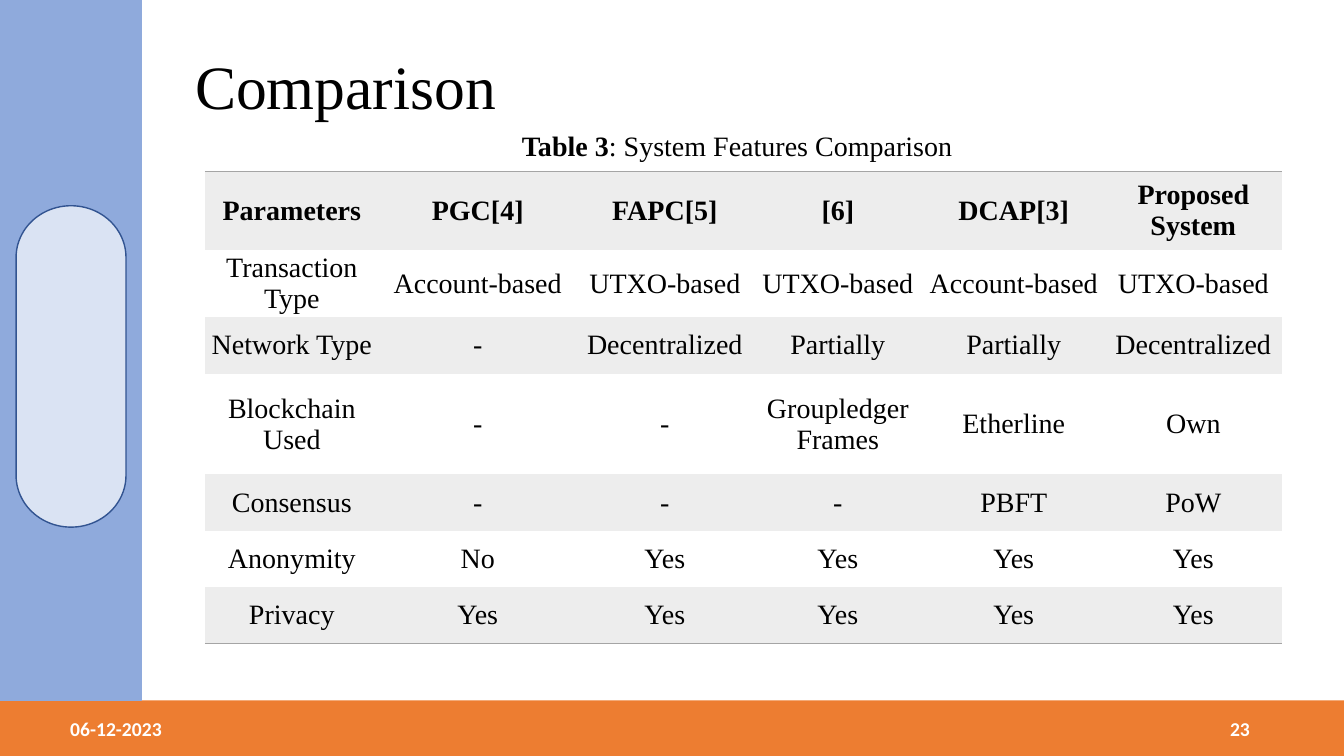
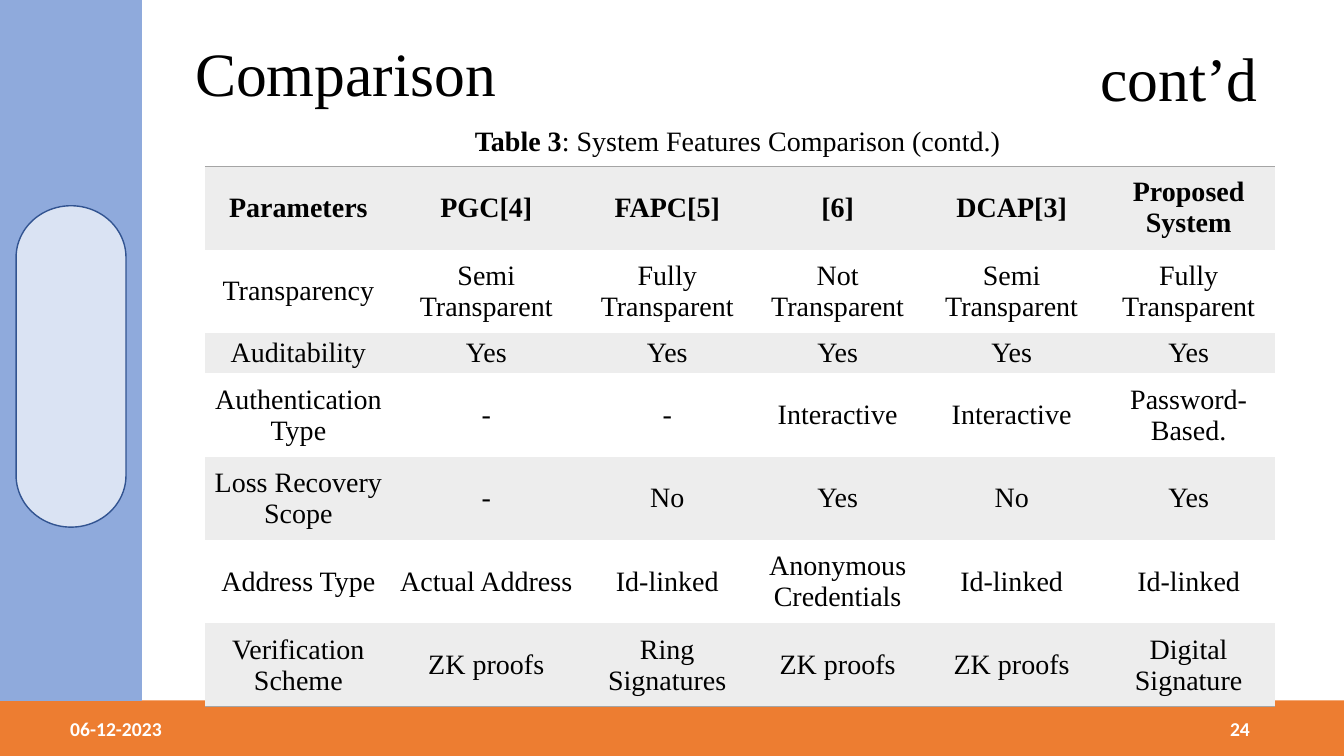
"""Build the two comparison table slides."""
from lxml.etree import SubElement
from pptx import Presentation
from pptx.dml.color import RGBColor
from pptx.enum.shapes import MSO_SHAPE
from pptx.enum.text import MSO_ANCHOR, PP_ALIGN
from pptx.oxml import parse_xml
from pptx.oxml.ns import nsdecls, qn
from pptx.util import Cm, Pt

COLORS = {
    "bar": "ED7D31",
    "side": "8FAADC",
    "pill": "DAE3F3",
    "edge": "325491",
    "band": "EDEDED",
    "rule": "A5A5A5",
    "ink": "000000",
    "paper": "FFFFFF",
}
SERIF = "Times New Roman"
FONTS = {
    "title": {"name": SERIF, "size": Pt(44), "bold": False},
    "body": {"name": SERIF, "size": Pt(20), "bold": False},
    "strong": {"name": SERIF, "size": Pt(20), "bold": True},
    "foot": {"name": "Calibri", "size": Pt(14), "bold": True},
}
CENTER = {"alignment": PP_ALIGN.CENTER}
RIGHT = {"alignment": PP_ALIGN.RIGHT}
TITLE = {"line_spacing": 0.9}
CAPTION = {**CENTER, "line_spacing": 1.5, "space_after": Pt(12)}
MIDDLE = {"vertical_anchor": MSO_ANCHOR.MIDDLE}
CELL = {**MIDDLE, "margin_left": 0, "margin_right": 0, "margin_top": 0, "margin_bottom": 0}

HEAD = ["Parameters", "PGC[4]", "FAPC[5]", "[6]", "DCAP[3]", "Proposed System"]
SLIDES = [
    {
        "page": "23",
        "title": 0.41,
        "caption": (": System Features Comparison", 4.85, 2.69, 27.46),
        "top": 4.32,
        "cols": [4.39, 4.98, 4.45, 4.27, 4.6, 4.45],
        "rows": [1.98, 1.42, 1.42, 2.54, 1.42, 1.42, 1.42],
        "data": [
            HEAD,
            ["Transaction Type", "Account-based", "UTXO-based", "UTXO-based",
             "Account-based", "UTXO-based"],
            ["Network Type", "-", "Decentralized", "Partially", "Partially", "Decentralized"],
            ["Blockchain Used", "-", "-", "Groupledger\nFrames", "Etherline", "Own"],
            ["Consensus", "-", "-", "-", "PBFT", "PoW"],
            ["Anonymity", "No", "Yes", "Yes", "Yes", "Yes"],
            ["Privacy", "Yes", "Yes", "Yes", "Yes", "Yes"],
        ],
    },
    {
        "page": "24",
        "title": 0.08,
        "more": "cont’d",
        "caption": (": System Features Comparison (contd.)", 10.13, 2.57, 16.92),
        "top": 4.19,
        "cols": [4.72, 4.75, 4.37, 4.22, 4.55, 4.37],
        "rows": [2.1, 2.1, 1.02, 2.1, 2.1, 2.1, 2.1],
        "data": [
            HEAD,
            ["Transparency", "Semi Transparent", "Fully Transparent", "Not Transparent",
             "Semi Transparent", "Fully Transparent"],
            ["Auditability", "Yes", "Yes", "Yes", "Yes", "Yes"],
            ["Authentication Type", "-", "-", "Interactive", "Interactive", "Password-Based."],
            ["Loss Recovery Scope", "-", "No", "Yes", "No", "Yes"],
            ["Address Type", "Actual Address", "Id-linked", "Anonymous Credentials",
             "Id-linked", "Id-linked"],
            ["Verification Scheme", "ZK proofs", "Ring Signatures", "ZK proofs",
             "ZK proofs", "Digital Signature"],
        ],
    },
]


def paint(color):
    return RGBColor.from_string(COLORS[color])


def apply(target, values):
    for key, value in values.items():
        setattr(target, key, value)


def style(font, kind, color="ink"):
    apply(font, FONTS[kind])
    font.color.rgb = paint(color)


def add_block(slide, preset, box, fill, edge=None, turn=0):
    shape = slide.shapes.add_shape(preset, *map(Cm, box))
    shape.shadow.inherit = False
    shape.rotation = turn
    shape.fill.solid()
    shape.fill.fore_color.rgb = paint(fill)
    if edge:
        shape.line.color.rgb = paint(edge)
        shape.line.width = Pt(1)
    else:
        shape.line.fill.background()


def add_text(slide, box, runs, layout, frame=None, color="ink"):
    area = slide.shapes.add_textbox(*map(Cm, box)).text_frame
    apply(area, {"word_wrap": True, **(frame or {})})
    line = area.paragraphs[0]
    apply(line, layout)
    for text, kind in runs:
        run = line.add_run()
        run.text = text
        style(run.font, kind, color)


def add_frame(slide, page):
    add_block(slide, MSO_SHAPE.RECTANGLE, (0, 17.65, 33.87, 1.4), "bar")
    add_block(slide, MSO_SHAPE.RECTANGLE, (0, 0, 3.56, 17.65), "side", "side")
    add_block(slide, MSO_SHAPE.FLOWCHART_TERMINATOR, (-2.26, 7.85, 8.1, 2.77),
              "pill", "edge", 90)
    for left, text, layout in ((1.52, "06-12-2023", {}), (24.13, page, RIGHT)):
        add_text(slide, (left, 17.86, 7.62, 1.02), [(text, "foot")], layout, MIDDLE, "paper")


def add_rules(cell, sides):
    props = cell._tc.get_or_add_tcPr()
    for spot, side in enumerate("LRTB"):
        line = parse_xml(f'<a:ln{side} {nsdecls("a")} w="12700"/>')
        if side in sides:
            fill = SubElement(line, qn("a:solidFill"))
            SubElement(fill, qn("a:srgbClr"), val=COLORS["rule"])
        else:
            SubElement(line, qn("a:noFill"))
        props.insert(spot, line)


def fill_cell(cell, text, kind, band, sides):
    apply(cell, CELL)
    cell.text = text
    for line in cell.text_frame.paragraphs:
        apply(line, CENTER)
        for run in line.runs:
            style(run.font, kind)
    if band:
        cell.fill.solid()
        cell.fill.fore_color.rgb = paint("band")
    else:
        cell.fill.background()
    add_rules(cell, sides)


def add_grid(slide, top, cols, rows, data):
    table = slide.shapes.add_table(
        len(rows), len(cols), Cm(5.16), Cm(top), Cm(sum(cols)), Cm(sum(rows))).table
    for col, width in zip(table.columns, cols):
        col.width = Cm(width)
    last = len(rows) - 1
    for index, (row, height) in enumerate(zip(table.rows, rows)):
        row.height = Cm(height)
        kind = "body" if index else "strong"
        sides = {0: "T", last: "B"}.get(index, "")
        for cell, text in zip(row.cells, data[index]):
            fill_cell(cell, text, kind, index % 2 == 0, sides)


def add_page(deck, item):
    slide = deck.slides.add_slide(deck.slide_layouts[6])
    add_frame(slide, item["page"])
    add_grid(slide, item["top"], item["cols"], item["rows"], item["data"])
    if "more" in item:
        add_text(slide, (24.71, 0.89, 7.24, 2.13), [(item["more"], "title")], RIGHT)
    text, left, top, width = item["caption"]
    add_text(slide, (left, top, width, 1.4), [("Table 3", "strong"), (text, "body")], CAPTION)
    add_text(slide, (4.67, item["title"], 14.58, 3.68), [("Comparison", "title")], TITLE, MIDDLE)


def main():
    deck = Presentation()
    apply(deck, {"slide_width": Cm(33.87), "slide_height": Cm(19.05)})
    for item in SLIDES:
        add_page(deck, item)
    deck.save("out.pptx")


if __name__ == "__main__":
    main()
